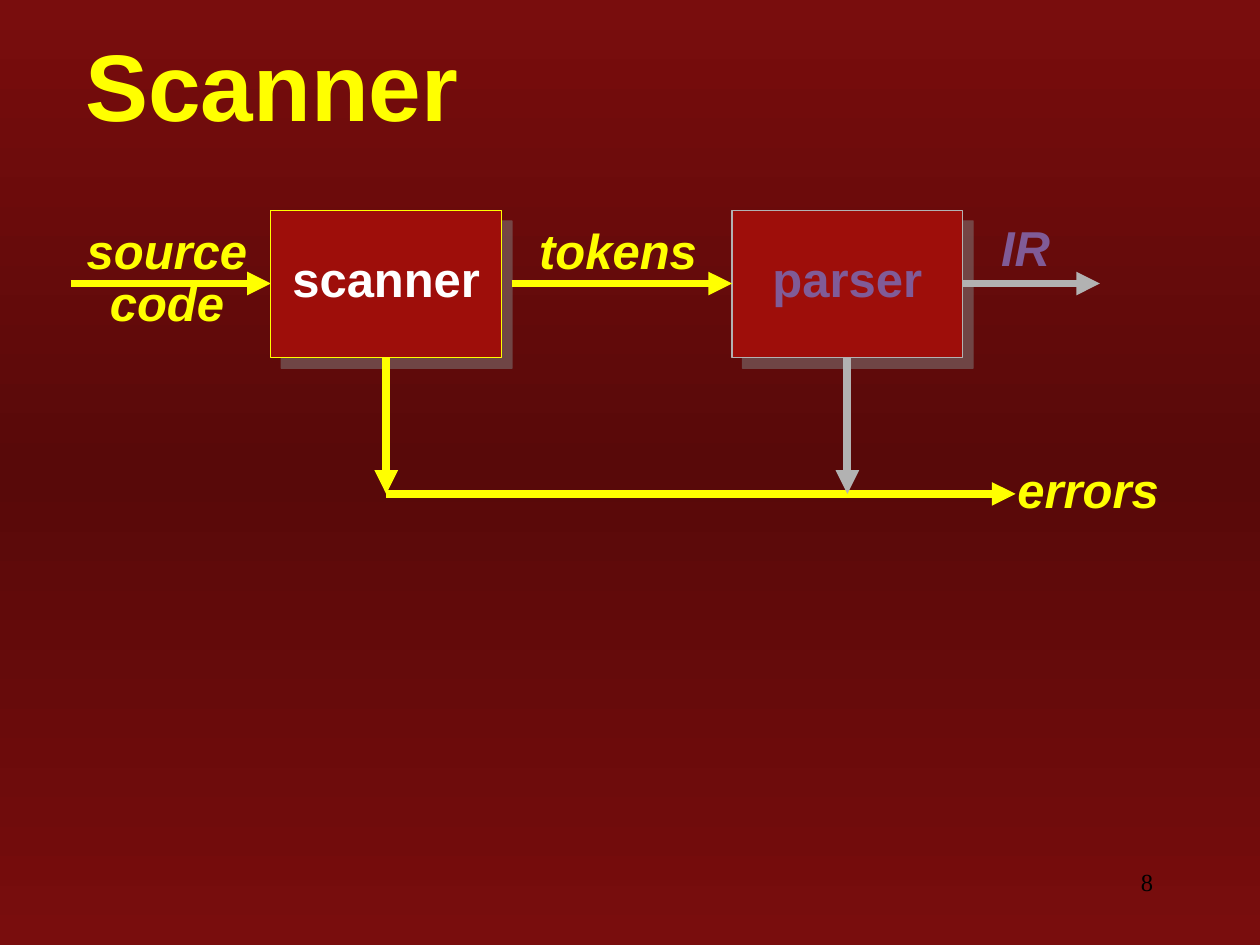
from copy import deepcopy

from lxml import etree
from pptx import Presentation
from pptx.dml.color import RGBColor
from pptx.enum.shapes import MSO_CONNECTOR, MSO_SHAPE
from pptx.enum.text import MSO_ANCHOR, MSO_AUTO_SIZE, PP_ALIGN
from pptx.oxml.ns import qn
from pptx.util import Inches, Pt

RECT = MSO_SHAPE.RECTANGLE
STRAIGHT = MSO_CONNECTOR.STRAIGHT
LEFT, CENTER, RIGHT = PP_ALIGN.LEFT, PP_ALIGN.CENTER, PP_ALIGN.RIGHT
MIDDLE = MSO_ANCHOR.MIDDLE
GROW = MSO_AUTO_SIZE.SHAPE_TO_FIT_TEXT

YELLOW = RGBColor(0xFF, 0xFF, 0x00)
GREY = RGBColor(0xB2, 0xB2, 0xB2)
SHADE = RGBColor(0x80, 0x80, 0x80)
PALE = RGBColor(0xDD, 0xDD, 0xDD)
PURPLE = RGBColor(0x80, 0x5B, 0x97)
WHITE = RGBColor(0xFF, 0xFF, 0xFF)
BLACK = RGBColor(0x00, 0x00, 0x00)
RED = RGBColor(0x9E, 0x0E, 0x0A)
EDGE = RGBColor(0x79, 0x0D, 0x0D)
DARK = RGBColor(0x58, 0x09, 0x09)

HEAD = {"name": "Arial", "size": Pt(54), "bold": True}
NAME = {"name": "Arial", "size": Pt(28), "bold": True}
FLOW = {**NAME, "italic": True}
PAGE = {"name": "Times New Roman", "size": Pt(14)}

BOX_W, BOX_H, BOX_TOP = 1.83, 1.17, 1.67
SCAN_X, PARSE_X = 2.15, 5.81
FLOW_Y, ERR_Y = 2.25, 3.92


def paint_back(slide):
    """Fill the background with a gradient that is darkest halfway down."""
    fill = slide.background.fill
    fill.gradient()
    fill.gradient_angle = 90
    stops = slide.element.xpath(".//a:gsLst")[0]
    stops.append(deepcopy(stops[-1]))
    for stop, color, place in zip(fill.gradient_stops, (EDGE, DARK, EDGE), (0, 0.5, 1)):
        stop.color.rgb = color
        stop.position = place


def add_shade(effects, color, dist, alpha):
    """Put a shadow to the lower right in an effect list."""
    shade = etree.SubElement(effects, qn("a:outerShdw"), dist=str(dist), dir="2700000", algn="ctr", rotWithShape="0")
    tint = etree.SubElement(shade, qn("a:srgbClr"), val=str(color))
    etree.SubElement(tint, qn("a:alpha"), val=str(alpha * 1000))


def add_text(slide, text, place, style, color, align=CENTER, wrap=True, grow=True, space=None):
    """Add a text box with one styled paragraph."""
    box = slide.shapes.add_textbox(*map(Inches, place))
    frame = box.text_frame
    frame.word_wrap = wrap
    if grow:
        frame.auto_size = GROW
    para = frame.paragraphs[0]
    para.text = text
    para.alignment = align
    para.line_spacing = space
    for run in para.runs:
        for key, value in style.items():
            setattr(run.font, key, value)
        run.font.color.rgb = color
    return box


def add_title(slide, text):
    """Add the shadowed slide title."""
    box = add_text(slide, text, (0.58, 0.25, 9.42, 0.83), HEAD, YELLOW, LEFT, grow=False)
    frame = box.text_frame
    frame.vertical_anchor = MIDDLE
    props = frame.paragraphs[0].runs[0].font.fill
    props = box.element.xpath(".//a:rPr")[0]
    effects = etree.Element(qn("a:effectLst"))
    props.find(qn("a:solidFill")).addnext(effects)
    add_shade(effects, PALE, Pt(2), 100)


def add_stage(slide, text, left, edge, color):
    """Add a shadowed box with its stage name."""
    box = slide.shapes.add_shape(RECT, *map(Inches, (left, BOX_TOP, BOX_W, BOX_H)))
    box.fill.solid()
    box.fill.fore_color.rgb = RED
    box.line.color.rgb = edge
    box.line.width = Pt(0.75)
    box.shadow.inherit = False
    add_shade(box.element.spPr.find(qn("a:effectLst")), SHADE, Pt(8.5), 50)
    add_text(slide, text, (left, 1.92, BOX_W, 0.57), NAME, color, wrap=False)


def add_arrow(slide, start, end, color):
    """Add a thick arrow between two points."""
    arrow = slide.shapes.add_connector(STRAIGHT, *map(Inches, (*start, *end)))
    arrow.line.color.rgb = color
    arrow.line.width = Pt(4.5)
    props = arrow.element.spPr
    etree.SubElement(props.find(qn("a:ln")), qn("a:tailEnd"), type="triangle")
    etree.SubElement(props, qn("a:effectLst"))


def main():
    """Build the scanner slide."""
    deck = Presentation()
    deck.slide_width, deck.slide_height = Inches(10), Inches(7.5)
    slide = deck.slides.add_slide(deck.slide_layouts[6])
    paint_back(slide)
    add_text(slide, "8", (7.17, 6.83, 2.08, 0.5), PAGE, BLACK, RIGHT, grow=False)
    add_title(slide, "Scanner")

    add_stage(slide, "scanner", SCAN_X, YELLOW, WHITE)
    add_stage(slide, "parser", PARSE_X, GREY, PURPLE)

    scan_mid, parse_mid = SCAN_X + BOX_W / 2, PARSE_X + BOX_W / 2
    base = BOX_TOP + BOX_H
    for start, end, color in (
        ((0.56, FLOW_Y), (SCAN_X, FLOW_Y), YELLOW),
        ((4.06, FLOW_Y), (PARSE_X, FLOW_Y), YELLOW),
        ((PARSE_X + BOX_W, FLOW_Y), (8.73, FLOW_Y), GREY),
        ((scan_mid, ERR_Y), (8.06, ERR_Y), YELLOW),
        ((scan_mid, base), (scan_mid, ERR_Y), YELLOW),
        ((parse_mid, base), (parse_mid, ERR_Y), GREY),
    ):
        add_arrow(slide, start, end, color)

    for text, place, color in (
        ("source\vcode", (0.48, 1.75, 1.69, 0.94), YELLOW),
        ("tokens", (4.06, 1.75, 1.69, 0.52), YELLOW),
        ("IR", (7.17, 1.73, 1.94, 0.52), PURPLE),
        ("errors", (7.79, 3.65, 1.69, 0.52), YELLOW),
    ):
        add_text(slide, text, place, FLOW, color, space=0.9)

    deck.save("out.pptx")


if __name__ == "__main__":
    main()
